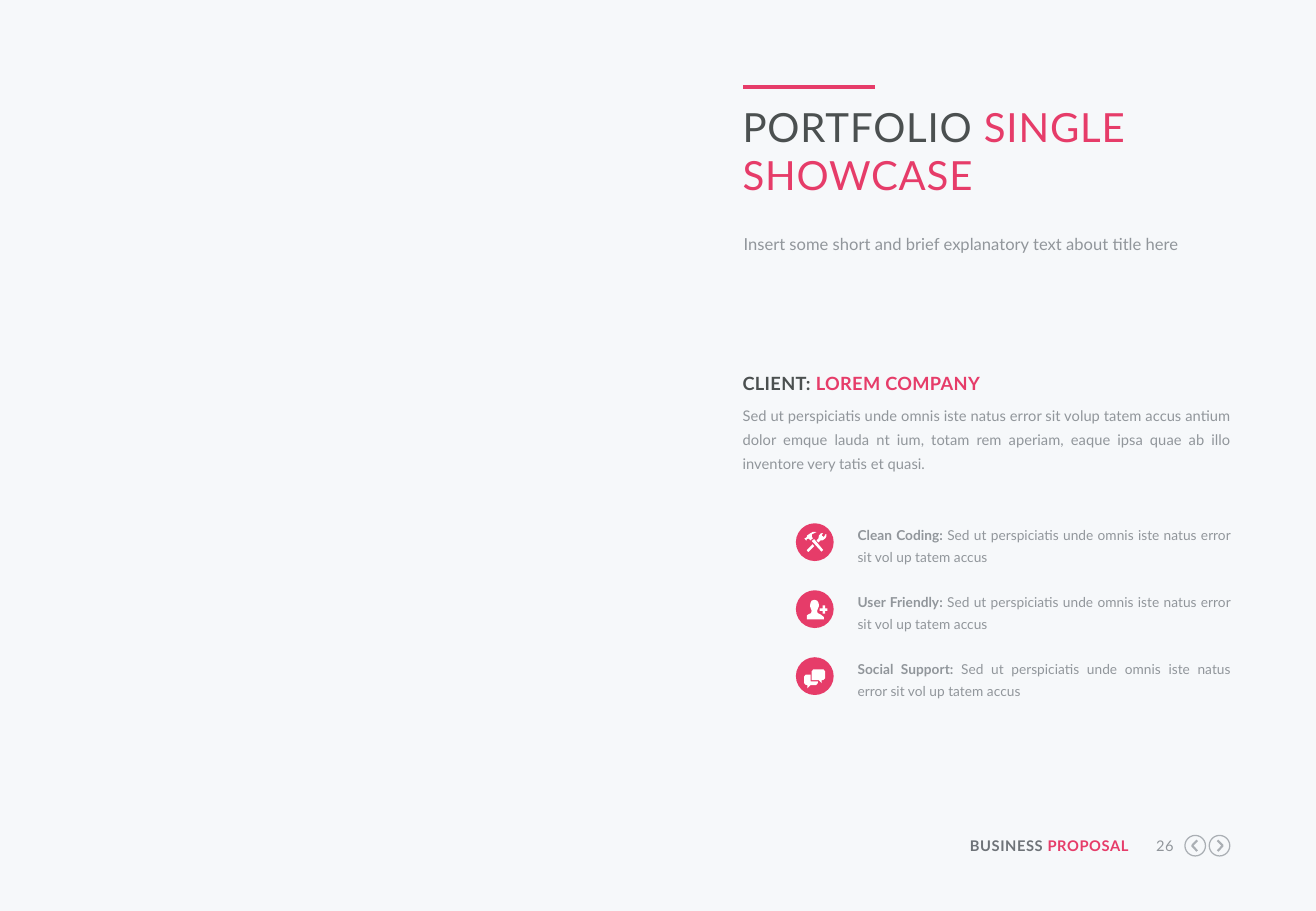
from dataclasses import dataclass

from lxml import etree
from pptx import Presentation
from pptx.dml.color import RGBColor
from pptx.enum import shapes, text
from pptx.oxml import ns
from pptx.util import Pt


@dataclass(frozen=True)
class Theme:
    """Colours, type sizes and the typeface of the slide."""

    font: str = "Lato"
    paper: str = "F6F8FA"
    white: str = "FFFFFF"
    accent: str = "E63C69"
    ink: str = "4B5050"
    footer: str = "6E7378"
    body: str = "91969B"
    ring: str = "AAAFB4"
    title_size: float = 23.8
    subtitle_size: float = 9.8
    heading_size: float = 10.8
    body_size: float = 8.7
    feature_size: float = 8.1


THEME = Theme()
ALIGN = text.PP_ALIGN
COLUMN_LEFT, COLUMN_WIDTH = 440, 289.4
FEATURE_TOP, FEATURE_PITCH = 309, 39.7
DISC_SIZE, ARROW_SIZE = 22.4, 12.2
BLURB = "Sed ut perspiciatis unde omnis iste natus error sit vol up tatem accus"

TOOLS = [
    [(9, 13), (10.5, 12.6), (12, 14), (14, 12.3), (13, 11), (13.3, 9), (17, 7.2),
     (14, 7), (11, 8.8), (9, 10.2), (9, 11.3), (8, 12), (7, 12.5), (8.5, 14.3)],
    [(15, 13), (13, 14.5), (21, 23.3), (22.5, 22)],
    [(25, 9), (24.4, 9), (23, 11.3), (21.2, 10), (22.3, 8), (20.5, 8.3), (19, 10),
     (18.5, 12.5), (17, 14), (18.4, 15.8), (20.3, 14), (22, 14), (24, 12.6), (25, 11)],
    [(9, 22), (9.2, 22.8), (10.3, 23.5), (15, 18.8), (13.7, 17.2)],
]
USER = [
    [(23, 22), (23, 24), (9, 24), (9, 20.8), (10, 20), (12.5, 18.8), (13, 17),
     (12.3, 15), (11.6, 13), (12, 10.5), (13, 8.5), (15.2, 7.8), (17.5, 8.5),
     (18.7, 10.5), (19, 13), (18.2, 15), (17.4, 17), (18, 18.8), (20.5, 20)],
    [(26, 15), (26, 17), (24, 17), (24, 19.3), (22, 19.3), (22, 17), (19.5, 17),
     (19.5, 15), (22, 15), (22, 12.5), (24, 12.5), (24, 15)],
]
CHAT = [
    [(18, 20), (18, 21.4), (16.5, 23), (12, 23), (9.4, 25.6), (9.4, 23), (8, 22.8),
     (6.8, 21.4), (6.8, 15.8), (8, 14.4), (12, 14.4), (12, 20)],
    [(24, 11.5), (24, 17.3), (22.6, 18.8), (21.2, 18.8), (21.2, 21.4), (18.8, 18.8),
     (13, 18.8), (13, 11.5), (14.3, 10), (22.6, 10)],
]
FEATURES = [("Clean Coding: ", TOOLS), ("User Friendly: ", USER), ("Social Support: ", CHAT)]


def rgb(colour):
    """Turn a hex string into a colour."""
    return RGBColor.from_string(colour)


def write(frame, parts, size, align=ALIGN.LEFT, leading=None, spacing=0):
    """Fill a frame with one paragraph of (text, colour, bold) parts."""
    frame.word_wrap = True
    frame.auto_size = text.MSO_AUTO_SIZE.NONE
    frame.vertical_anchor = text.MSO_ANCHOR.TOP
    frame.margin_left = frame.margin_right = frame.margin_top = frame.margin_bottom = 0
    paragraph = frame.paragraphs[0]
    paragraph.alignment = align
    if leading:
        paragraph.line_spacing = Pt(leading)
    for words, colour, bold in parts:
        run = paragraph.add_run()
        run.text = words
        run.font.name = THEME.font
        run.font.size = Pt(size)
        run.font.bold = bold
        run.font.color.rgb = rgb(colour)
        if spacing:
            run._r.get_or_add_rPr().set("spc", str(round(spacing * 100)))


def add_copy(slide, box, parts, size, **style):
    """Add a text box at (left, top, width, height)."""
    frame = slide.shapes.add_textbox(*map(Pt, box)).text_frame
    write(frame, parts, size, **style)


def paint(shape, fill=None, line=None, weight=0.75):
    """Set the fill and line of a shape and drop its shadow."""
    shape.shadow.inherit = False
    if fill:
        shape.fill.solid()
        shape.fill.fore_color.rgb = rgb(fill)
    else:
        shape.fill.background()
    if line:
        shape.line.color.rgb = rgb(line)
        shape.line.width = Pt(weight)
    else:
        shape.line.fill.background()


def add_circle(canvas, left, top, size, **colours):
    """Add a circle."""
    circle = canvas.add_shape(shapes.MSO_SHAPE.OVAL, Pt(left), Pt(top), Pt(size), Pt(size))
    paint(circle, **colours)


def add_glyph(canvas, contours, left, top, close=True, **colours):
    """Draw contours given in hundredths of an inch from an origin."""
    scaled = [[(x * 10, y * 10) for x, y in contour] for contour in contours]
    builder = canvas.build_freeform(*scaled[0][0], scale=Pt(0.072))
    for index, contour in enumerate(scaled):
        if index:
            builder.move_to(*contour[0])
        builder.add_line_segments(contour[1:], close=close)
    paint(builder.convert_to_shape(Pt(left), Pt(top)), **colours)


def add_feature(slide, index, label, icon):
    """Add one row with a round icon and its description."""
    top = FEATURE_TOP + index * FEATURE_PITCH
    badge = slide.shapes.add_group_shape().shapes
    add_circle(badge, 471.6, top + 1.2, DISC_SIZE, fill=THEME.accent)
    add_glyph(badge, icon, 471.6, top + 1.2, fill=THEME.white)
    add_copy(slide, (508.1, top, 221.2, 26),
             [(label, THEME.body, True), (BLURB, THEME.body, False)],
             THEME.feature_size, align=ALIGN.JUSTIFY, leading=13)


def add_arrow(slide, left, direction):
    """Add a ringed chevron that points left (-1) or right (1)."""
    top = 495.2
    add_circle(slide.shapes, left, top, ARROW_SIZE, line=THEME.ring)
    chevron = [(-1.6 * direction, -4.4), (2.6 * direction, 0), (-1.6 * direction, 4.4)]
    add_glyph(slide.shapes, [chevron], left + ARROW_SIZE / 2, top + ARROW_SIZE / 2,
              close=False, line=THEME.ring, weight=1.25)


def add_rule(slide, left, top, width):
    """Add the accent rule above the title."""
    rule = slide.shapes.add_connector(
        shapes.MSO_CONNECTOR.STRAIGHT, Pt(left), Pt(top), Pt(left + width), Pt(top))
    rule.line.color.rgb = rgb(THEME.accent)
    rule.line.width = Pt(2.25)
    etree.SubElement(rule._element.spPr, ns.qn("a:effectLst"))


def add_title(slide):
    """Place and write the title."""
    title = slide.shapes.title
    title.left, title.top = Pt(COLUMN_LEFT), Pt(60.5)
    title.width, title.height = Pt(COLUMN_WIDTH), Pt(66.2)
    write(title.text_frame,
          [("PORTFOLIO ", THEME.ink, False), ("SINGLE SHOWCASE", THEME.accent, False)],
          THEME.title_size, spacing=0.5)


def main():
    """Build the slide and save it."""
    deck = Presentation()
    deck.slide_width, deck.slide_height = Pt(779.76), Pt(540)
    slide = deck.slides.add_slide(deck.slide_layouts[5])
    slide.background.fill.solid()
    slide.background.fill.fore_color.rgb = rgb(THEME.paper)

    add_rule(slide, 440.5, 51.7, 78)
    add_title(slide)
    add_copy(slide, (440.6, 137.5, COLUMN_WIDTH, 15),
             [("Insert some short and brief explanatory text about title here",
               THEME.body, False)], THEME.subtitle_size, leading=13)
    add_copy(slide, (COLUMN_LEFT, 215.3, COLUMN_WIDTH, 18),
             [("CLIENT: ", THEME.ink, True), ("LOREM COMPANY", THEME.accent, True)],
             THEME.heading_size, leading=18.4, spacing=0.2)
    add_copy(slide, (COLUMN_LEFT, 237.6, COLUMN_WIDTH, 42.5),
             [("Sed ut perspiciatis unde omnis iste natus error sit volup tatem accus antium "
               "dolor emque lauda nt ium, totam rem aperiam, eaque ipsa quae ab illo "
               "inventore very tatis et quasi.", THEME.body, False)],
             THEME.body_size, align=ALIGN.JUSTIFY, leading=14.1)
    for index, (label, icon) in enumerate(FEATURES):
        add_feature(slide, index, label, icon)

    add_copy(slide, (570.2, 496.1, 98.6, 10.8),
             [("BUSINESS ", THEME.footer, True), ("PROPOSAL", THEME.accent, True)],
             THEME.body_size, align=ALIGN.RIGHT, spacing=0.3)
    add_copy(slide, (677.5, 496.1, 18, 10.8), [("26", THEME.body, False)],
             THEME.body_size, align=ALIGN.RIGHT, spacing=0.3)
    add_arrow(slide, 702.1, -1)
    add_arrow(slide, 716.5, 1)
    deck.save("out.pptx")


if __name__ == "__main__":
    main()
